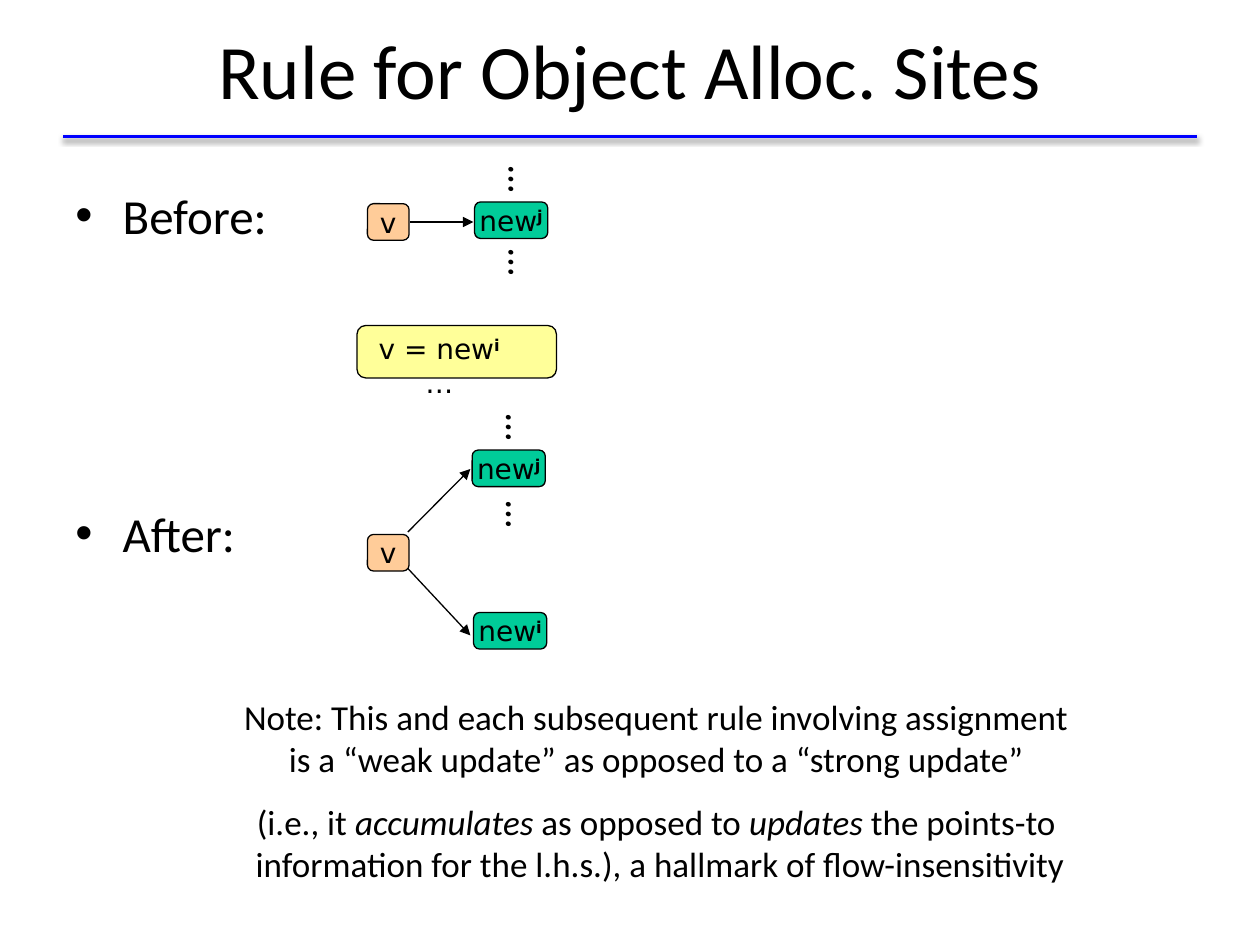
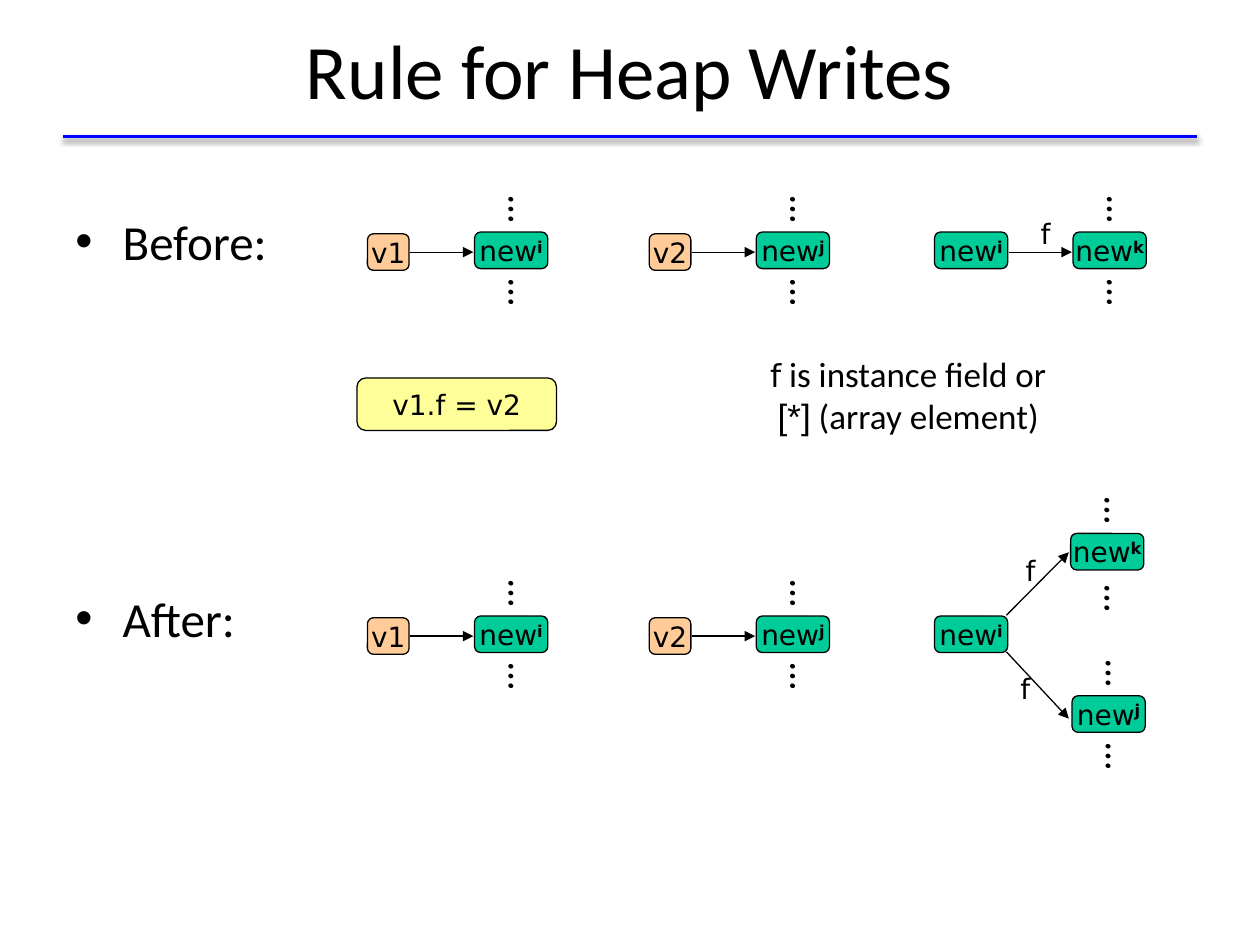
from lxml import etree
from pptx import Presentation
from pptx import util as u
from pptx.dml import color
from pptx.enum import shapes, text
from pptx.oxml import ns

Pt = u.Pt
BLACK, BLUE = "000000", "0000FF"
YELLOW, ORANGE, GREEN = "FFFF99", "FFCC99", "00CC99"
BODY, CODE, DOTS = "Calibri", "DejaVu Sans", "Comic Neue"
VARIABLE_WIDTH, SITE_WIDTH, NODE_HEIGHT = 23.8, 41.8, 20.9
GAP = 37.4
RULE_TOP = 78
BULLET_LINE = 34.2


def rgb(value):
    return color.RGBColor.from_string(value)


def add_xml(parent, tag, **attributes):
    element = etree.SubElement(parent, ns.qn(tag))
    for name, value in attributes.items():
        element.set(name, str(value))
    return element


def set_all(target, values):
    for name, value in values.items():
        setattr(target, name, value)


def write(paragraph, runs, size, font, align=text.PP_ALIGN.CENTER):
    paragraph.alignment = align
    for content, extra in runs:
        for index, line in enumerate(content.split("\n")):
            if index:
                paragraph.add_line_break()
            if not line:
                continue
            run = paragraph.add_run()
            run.text = line
            values = {"size": Pt(size), "name": font, **extra}
            baseline = values.pop("baseline", None)
            set_all(run.font, values)
            run.font.color.rgb = rgb(BLACK)
            if baseline:
                run._r.get_or_add_rPr().set("baseline", str(baseline))


def code_runs(label):
    base, _, index = label.partition("^")
    runs = [(base, {})]
    if index:
        runs.append((index, {"bold": True, "baseline": 30000}))
    return runs


def add_text(slide, left, top, width, height, paragraphs, size, font, space=0):
    box = slide.shapes.add_textbox(Pt(left), Pt(top), Pt(width), Pt(height))
    frame = box.text_frame
    set_all(frame, {"word_wrap": True,
                    "auto_size": text.MSO_AUTO_SIZE.SHAPE_TO_FIT_TEXT})
    for index, runs in enumerate(paragraphs):
        paragraph = frame.add_paragraph() if index else frame.paragraphs[0]
        if index:
            paragraph.space_before = Pt(space)
        write(paragraph, runs, size, font)
    return box


def add_box(slide, left, top, width, height, fill, label=""):
    box = slide.shapes.add_shape(shapes.MSO_SHAPE.ROUNDED_RECTANGLE,
                                 Pt(left), Pt(top), Pt(width), Pt(height))
    box.shadow.inherit = False
    box.fill.solid()
    box.fill.fore_color.rgb = rgb(fill)
    box.line.color.rgb = rgb(BLACK)
    box.line.width = Pt(0.75)
    if label:
        set_all(box.text_frame, {"word_wrap": False,
                                 "vertical_anchor": text.MSO_ANCHOR.MIDDLE})
        write(box.text_frame.paragraphs[0], code_runs(label), 16, CODE)


def add_line(slide, x1, y1, x2, y2, line_color, width):
    line = slide.shapes.add_connector(shapes.MSO_CONNECTOR.STRAIGHT,
                                      Pt(x1), Pt(y1), Pt(x2), Pt(y2))
    line.line.color.rgb = rgb(line_color)
    line.line.width = Pt(width)
    return line, add_xml(line._element.spPr, "a:effectLst")


def add_arrow(slide, x1, y1, x2, y2):
    line, _ = add_line(slide, x1, y1, x2, y2, BLACK, 0.75)
    add_xml(line.line._get_or_add_ln(), "a:tailEnd", type="triangle")


def add_dots(slide, center_x, center_y):
    box = add_text(slide, center_x - 18, center_y - 14.4, 36, 28.8,
                   [[("…", {"bold": True})]], 24, DOTS)
    box.rotation = 90


def add_field(slide, left, top):
    add_text(slide, left, top, 30.2, 26.6, [[("f", {})]], 16, CODE)


def add_site(slide, left, top, label, below=34.6):
    add_box(slide, left, top, SITE_WIDTH, NODE_HEIGHT, GREEN, label)
    if below:
        add_dots(slide, left + 32.5, top - 13)
        add_dots(slide, left + 32.5, top + below)


def add_source(slide, left, top, label):
    if label.startswith("new"):
        add_site(slide, left, top, label, below=0)
        return left + SITE_WIDTH
    add_box(slide, left, top + 1, VARIABLE_WIDTH, NODE_HEIGHT, ORANGE, label)
    return left + VARIABLE_WIDTH


def add_link(slide, left, top, source, target, field=False):
    right = add_source(slide, left, top, source)
    add_arrow(slide, right + 0.7, top + 11.5, right + 36.7, top + 11.5)
    add_site(slide, right + GAP, top, target)
    if field:
        add_field(slide, right + 6.5, top - 12.2)


def add_fork(slide, left, top, source, upper, lower, lower_dots=0, field=False):
    right = add_source(slide, left, top, source)
    bottom = top + NODE_HEIGHT
    add_site(slide, right + 36, top - 47.2, upper, below=37)
    add_site(slide, right + 36.8, top + 45.6, lower, below=lower_dots)
    add_arrow(slide, right - 0.7, top - 0.4, right + 35, top - 36.4)
    add_arrow(slide, right - 0.7, bottom - 0.4, right + 35, bottom + 37.8)
    if field:
        add_field(slide, right - 2, top - 39.4)
        add_field(slide, right - 5, top + 28.3)


def add_stages(slide, top, distance):
    box = slide.shapes.add_textbox(Pt(36), Pt(top), Pt(170),
                                   Pt(distance + BULLET_LINE + 7.2))
    frame = box.text_frame
    frame.word_wrap = True
    for index, label in enumerate(("Before:", "After:")):
        paragraph = frame.add_paragraph() if index else frame.paragraphs[0]
        if index:
            paragraph.space_before = Pt(distance - BULLET_LINE)
        write(paragraph, [(label, {})], 28, BODY, text.PP_ALIGN.LEFT)
        properties = paragraph._p.get_or_add_pPr()
        properties.set("marL", str(Pt(27)))
        properties.set("indent", str(-Pt(27)))
        add_xml(properties, "a:buFont", typeface="Arial")
        add_xml(properties, "a:buChar", char="•")


def add_base(presentation, heading):
    slide = presentation.slides.add_slide(presentation.slide_layouts[5])
    title = slide.shapes.title
    set_all(title, {"left": Pt(36), "top": Pt(0),
                    "width": Pt(648), "height": Pt(RULE_TOP)})
    title.text_frame.vertical_anchor = text.MSO_ANCHOR.MIDDLE
    write(title.text_frame.paragraphs[0], [(heading, {})], 44, BODY)
    _, effects = add_line(slide, 36, RULE_TOP, 684, RULE_TOP, BLUE, 2)
    shadow = add_xml(effects, "a:outerShdw", blurRad=Pt(3.1), dist=Pt(1.6),
                     dir=5400000, rotWithShape=0)
    shade = add_xml(shadow, "a:srgbClr", val=BLACK)
    add_xml(shade, "a:alpha", val=38000)
    return slide


def build_allocation(presentation):
    slide = add_base(presentation, "Rule for Object Alloc. Sites")
    add_stages(slide, 102.3, 182.3)
    add_link(slide, 210, 115.4, "v", "new^j")
    add_box(slide, 204, 186, 114, 30, YELLOW)
    add_text(slide, 196, 186, 110, 45,
             [code_runs("v = new^i") + [("\n…", {})]], 16, CODE)
    add_fork(slide, 210, 304.4, "v", "new^j", "new^i")
    italic = {"italic": True}
    note = [
        [("Note: This and each subsequent rule involving assignment\n"
          "is a “weak update” as opposed to a “strong update”", {})],
        [("(i.e., it ", {}), ("accumulates", italic),
         (" as opposed to ", {}), ("updates", italic),
         (" the points-to\n information for the l.h.s.), "
          "a hallmark of flow-insensitivity", {})],
    ]
    add_text(slide, 72, 394, 606, 117, note, 20, BODY, space=12)


def build_heap_writes(presentation):
    slide = add_base(presentation, "Rule for Heap Writes")
    add_stages(slide, 117.3, 216)
    for top in (132.6, 352):
        add_link(slide, 210, top, "v1", "new^i")
        add_link(slide, 371, top, "v2", "new^j")
    add_link(slide, 534, 132.6, "new^i", "new^k", field=True)
    add_fork(slide, 534, 352, "new^i", "new^k", "new^j",
             lower_dots=34.6, field=True)
    add_box(slide, 204, 216, 114, 30, YELLOW, "v1.f = v2")
    add_text(slide, 348, 198, 342, 55,
             [[("f", {"size": Pt(18), "name": CODE}),
               (" is instance field or\n", {}), ("[*]", {"name": "Arial"}),
               (" (array element)", {})]], 20, BODY)


def main():
    presentation = Presentation()
    set_all(presentation, {"slide_width": Pt(720), "slide_height": Pt(540)})
    build_allocation(presentation)
    build_heap_writes(presentation)
    presentation.save("out.pptx")


main()
